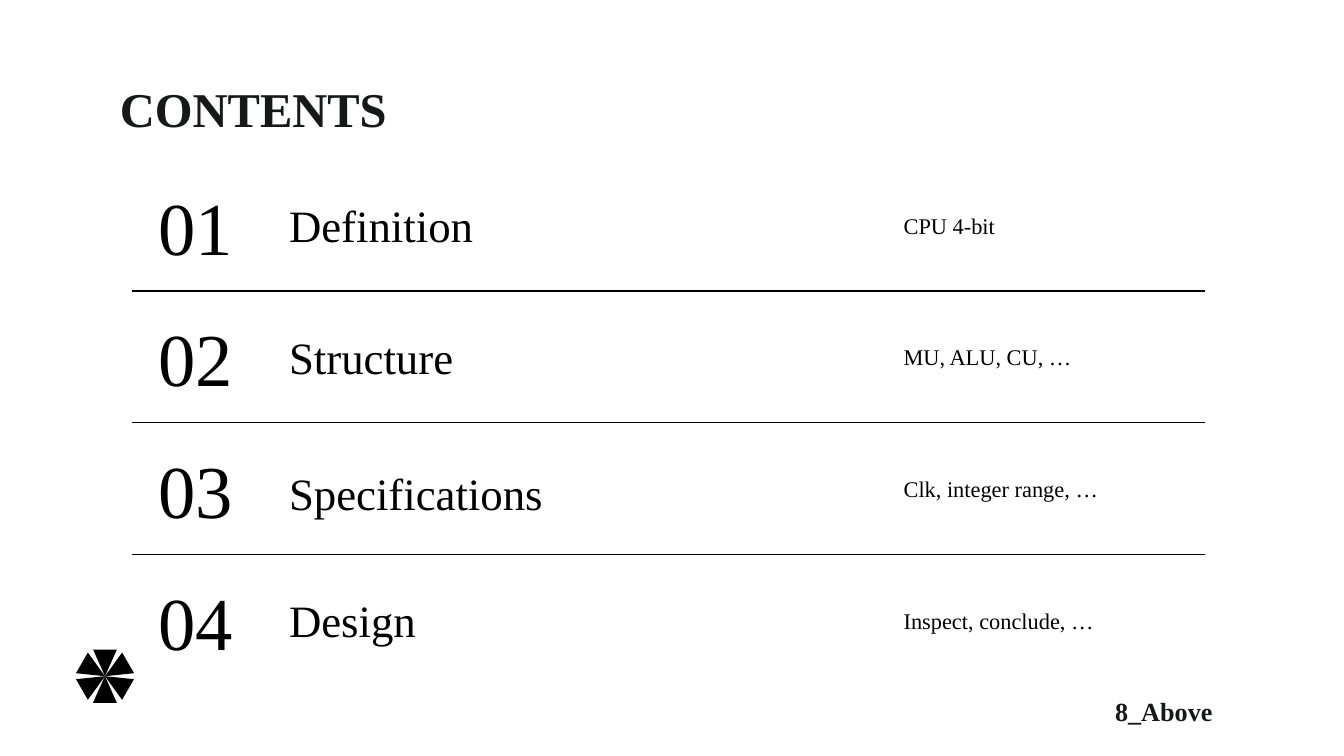
"""Build a contents slide with four numbered rows, rules and a wheel."""
from math import cos, radians, sin

from lxml import etree
from pptx import Presentation
from pptx.dml.color import RGBColor
from pptx.enum.shapes import MSO_CONNECTOR, MSO_SHAPE
from pptx.enum.text import MSO_ANCHOR, MSO_AUTO_SIZE, PP_ALIGN
from pptx.oxml.ns import qn
from pptx.util import Pt

TOP, MID = MSO_ANCHOR.TOP, MSO_ANCHOR.MIDDLE
LEFT, CENTER = PP_ALIGN.LEFT, PP_ALIGN.CENTER
STRAIGHT = MSO_CONNECTOR.STRAIGHT
WEDGE = MSO_SHAPE.ISOSCELES_TRIANGLE
FIXED = MSO_AUTO_SIZE.NONE
PX = 9525

TITLE = "CONTENTS"
FOOT = "8_Above"
ROWS = [
    ("Definition", "CPU 4-bit", 0),
    ("Structure", "MU, ALU, CU, …", 0),
    ("Specifications", "Clk, integer range, …", 3),
    ("Design", "Inspect, conclude, …", 0),
]

THEME = {
    "font": "Times New Roman",
    "ink": RGBColor(0, 0, 0),
    "dark": RGBColor(0x15, 0x19, 0x19),
    "title": 26, "num": 40, "name": 24, "note": 12, "foot": 14,
    "rule": 0.75, "pad": 7.2,
}
SIZE = (960, 540)
PITCH = 94
RULE = (94, 861, 208)
HUB = (75, 483)
BLADE = (17, 19)


def place(shape, box):
    for key, val in zip(("left", "top", "width", "height"), box):
        setattr(shape, key, round(val * PX))


def write(shape, box, text, role, color="ink", bold=False,
          align=LEFT, anchor=MID, ratio=1):
    place(shape, box)
    frame = shape.text_frame
    side, edge = Pt(THEME["pad"]), Pt(THEME["pad"] * ratio)
    look = {
        "word_wrap": True, "auto_size": FIXED, "vertical_anchor": anchor,
        "margin_left": side, "margin_right": side,
        "margin_top": edge, "margin_bottom": edge,
    }
    for key, val in look.items():
        setattr(frame, key, val)
    para = frame.paragraphs[0]
    para.alignment = align
    run = para.add_run()
    run.text = text
    style = {"name": THEME["font"], "size": Pt(THEME[role]), "bold": bold}
    for key, val in style.items():
        setattr(run.font, key, val)
    run.font.color.rgb = THEME[color]


def add_text(slide, box, *args, **look):
    write(slide.shapes.add_textbox(0, 0, 0, 0), box, *args, **look)


def add_rule(slide, y):
    x1, x2 = RULE[:2]
    line = slide.shapes.add_connector(
        STRAIGHT, x1 * PX, y * PX, x2 * PX, y * PX)
    line.line.color.rgb = THEME["ink"]
    line.line.width = Pt(THEME["rule"])
    etree.SubElement(line._element.spPr, qn("a:effectLst"))


def add_wheel(slide):
    group = slide.shapes.add_group_shape()
    wide, high = BLADE
    reach = high / 2
    for turn in range(0, 360, 60):
        x = HUB[0] - reach * sin(radians(turn)) - wide / 2
        y = HUB[1] + reach * cos(radians(turn)) - high / 2
        blade = group.shapes.add_shape(WEDGE, 0, 0, 0, 0)
        place(blade, (x, y, wide, high))
        blade.rotation = turn
        blade.shadow.inherit = False
        blade.fill.solid()
        blade.fill.fore_color.rgb = THEME["ink"]
        blade.line.fill.background()


def main():
    deck = Presentation()
    deck.slide_width, deck.slide_height = (side * PX for side in SIZE)
    slide = deck.slides.add_slide(deck.slide_layouts[5])
    write(slide.shapes.title, (76, 47, 809, 60), TITLE, "title",
          color="dark", bold=True, anchor=TOP)
    for i, (name, note, drop) in enumerate(ROWS):
        y = i * PITCH
        add_text(slide, (99, 121 + y, 82, 80), f"{i + 1:02}", "num",
                 align=CENTER)
        add_text(slide, (197, 140 + y + drop, 407, 41), name, "name")
        add_text(slide, (636, 131 + y, 236, 60), note, "note")
        if i < len(ROWS) - 1:
            add_rule(slide, RULE[2] + y)
    add_wheel(slide)
    add_text(slide, (787, 492, 173, 33), FOOT, "foot",
             color="dark", bold=True, anchor=TOP, ratio=0.5)
    deck.save("out.pptx")


if __name__ == "__main__":
    main()
